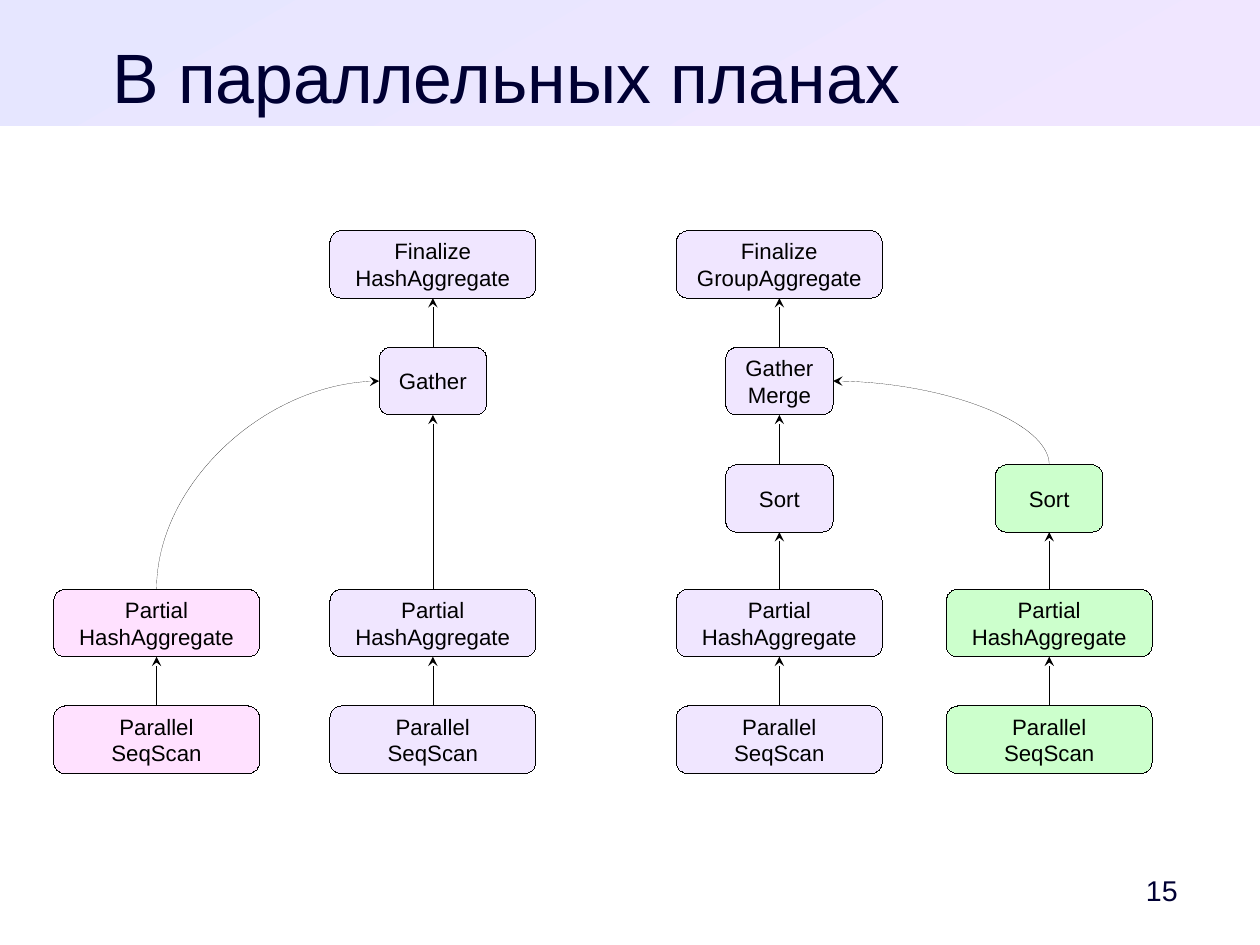
from lxml import etree
from pptx import Presentation
from pptx.dml.color import RGBColor
from pptx.enum.shapes import MSO_CONNECTOR, MSO_SHAPE
from pptx.enum.text import MSO_ANCHOR, PP_ALIGN
from pptx.oxml.ns import qn
from pptx.util import Pt

RECTANGLE, ROUNDED = MSO_SHAPE.RECTANGLE, MSO_SHAPE.ROUNDED_RECTANGLE
STRAIGHT, CURVE = MSO_CONNECTOR.STRAIGHT, MSO_CONNECTOR.CURVE
CENTER, RIGHT = PP_ALIGN.CENTER, PP_ALIGN.RIGHT
TOP, MIDDLE = MSO_ANCHOR.TOP, MSO_ANCHOR.MIDDLE
TOP_SIDE, LEFT_SIDE, BOTTOM_SIDE, RIGHT_SIDE = range(4)

LILAC, PINK, GREEN = "F0E6FF", "FFE1FF", "CCFFCC"
BLACK, NAVY = "000000", "000033"


def color(value):
    return RGBColor.from_string(value)


def write(box, text, size=14, ink=BLACK, align=CENTER, anchor=MIDDLE,
          insets=(7.2, 3.6, 7.2, 3.6), wrap=False):
    frame = box.text_frame
    frame.word_wrap = wrap
    frame.vertical_anchor = anchor
    (frame.margin_left, frame.margin_top,
     frame.margin_right, frame.margin_bottom) = map(Pt, insets)
    for index, line in enumerate(text.split("\n")):
        para = frame.add_paragraph() if index else frame.paragraphs[0]
        para.alignment = align
        span = para.add_run()
        span.text = line
        span.font.name = "Arial"
        span.font.size = Pt(size)
        span.font.color.rgb = color(ink)


deck = Presentation()
deck.slide_width, deck.slide_height = Pt(793.75), Pt(595.25)
page = deck.slides.add_slide(deck.slide_layouts[6])
shapes = page.shapes

band = shapes.add_shape(RECTANGLE, 0, 0, deck.slide_width, Pt(79.2))
band.shadow.inherit = False
band.line.fill.background()
band.fill.gradient()
band.fill.gradient_angle = 300
for stop, tint in zip(band.fill.gradient_stops, ("E6E6FF", LILAC)):
    stop.color.rgb = color(tint)

title = shapes.add_textbox(Pt(33.84), Pt(20.88), Pt(571), Pt(51.12))
write(title, "В параллельных планах", size=44, ink=NAVY, anchor=TOP,
      insets=(0, 0, 0, 0), wrap=True)
number = shapes.add_textbox(Pt(697.68), Pt(544), Pt(62.64), Pt(33.84))
write(number, "15", size=18, ink=NAVY, align=RIGHT,
      insets=(7.2, 3.6, 18.4, 3.6), wrap=True)

WIDE, NARROW, NODE_HEIGHT = 129.6, 67.68, 42.48
row_tops = {"final": 145.3, "gather": 218.8, "sort": 292.7,
            "partial": 371.2, "scan": 444.7}
labels = {"sort": "Sort", "partial": "Partial\nHashAggregate",
          "scan": "Parallel\nSeqScan"}
plans = [
    ("hash worker", 98.64, PINK, ["partial", "scan"], {}),
    ("hash leader", 272.7, LILAC, ["final", "gather", "partial", "scan"],
     {"final": "Finalize\nHashAggregate", "gather": "Gather"}),
    ("sort leader", 491, LILAC,
     ["final", "gather", "sort", "partial", "scan"],
     {"final": "Finalize\nGroupAggregate", "gather": "Gather\nMerge"}),
    ("sort worker", 661, GREEN, ["sort", "partial", "scan"], {}),
]

nodes = {}
links = []
for plan, center, tint, rows, own_labels in plans:
    for row in rows:
        width = NARROW if row in ("gather", "sort") else WIDE
        node = shapes.add_shape(ROUNDED, Pt(center - width / 2),
                                Pt(row_tops[row]), Pt(width), Pt(NODE_HEIGHT))
        node.shadow.inherit = False
        node.fill.solid()
        node.fill.fore_color.rgb = color(tint)
        node.line.color.rgb = color(BLACK)
        node.element.spPr.find(qn("a:ln")).set("w", "0")
        write(node, own_labels.get(row) or labels[row])
        nodes[plan, row] = node
    for parent, child in zip(rows, rows[1:]):
        links.append((STRAIGHT, (plan, child), TOP_SIDE,
                      (plan, parent), BOTTOM_SIDE, "a:tailEnd"))

links += [
    (CURVE, ("hash leader", "gather"), LEFT_SIDE,
     ("hash worker", "partial"), TOP_SIDE, "a:headEnd"),
    (CURVE, ("sort leader", "gather"), RIGHT_SIDE,
     ("sort worker", "sort"), TOP_SIDE, "a:headEnd"),
]
for kind, start, start_side, finish, finish_side, arrow_end in links:
    arrow = shapes.add_connector(kind, 0, 0, 0, 0)
    arrow.begin_connect(nodes[start], start_side)
    arrow.end_connect(nodes[finish], finish_side)
    arrow.line.color.rgb = color(BLACK)
    properties = arrow.element.spPr
    if kind == CURVE:
        properties.find(qn("a:prstGeom")).set("prst", "curvedConnector2")
    outline = properties.find(qn("a:ln"))
    outline.set("w", "0")
    etree.SubElement(outline, qn(arrow_end), type="stealth")
    etree.SubElement(properties, qn("a:effectLst"))

deck.save("out.pptx")
